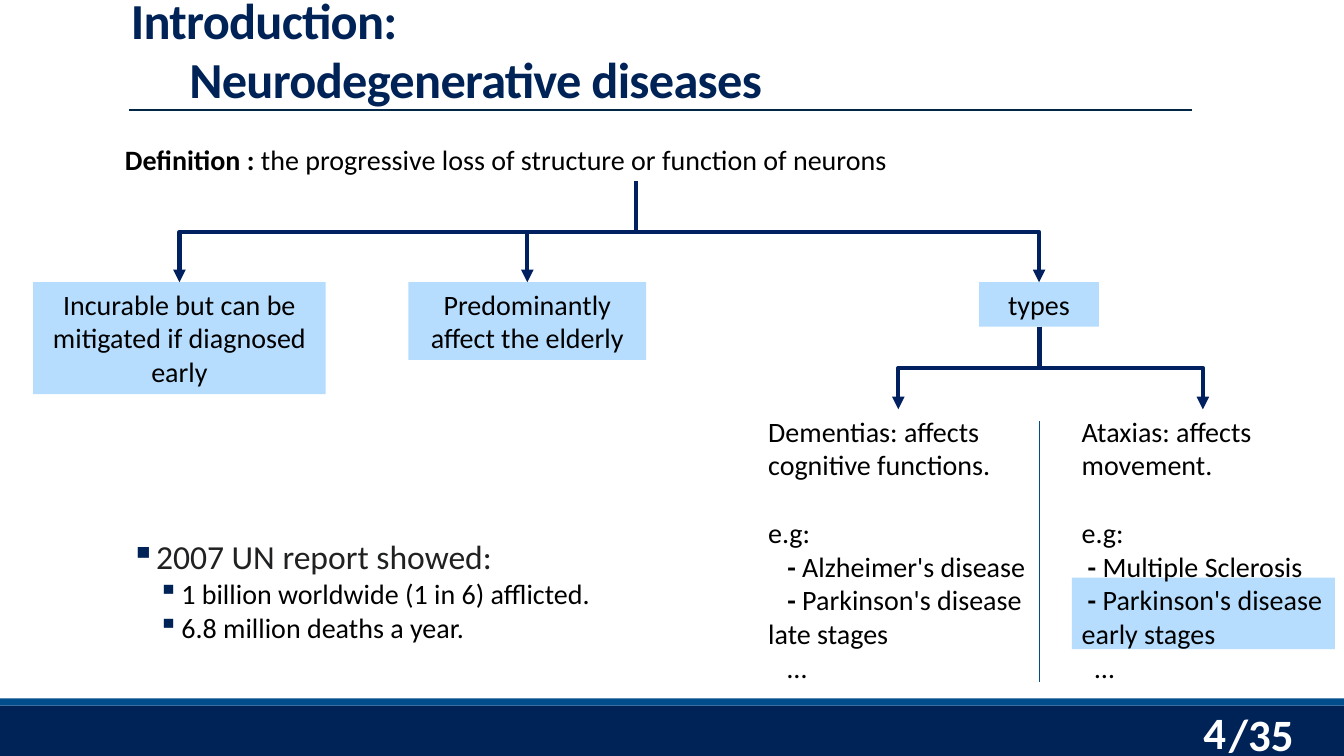
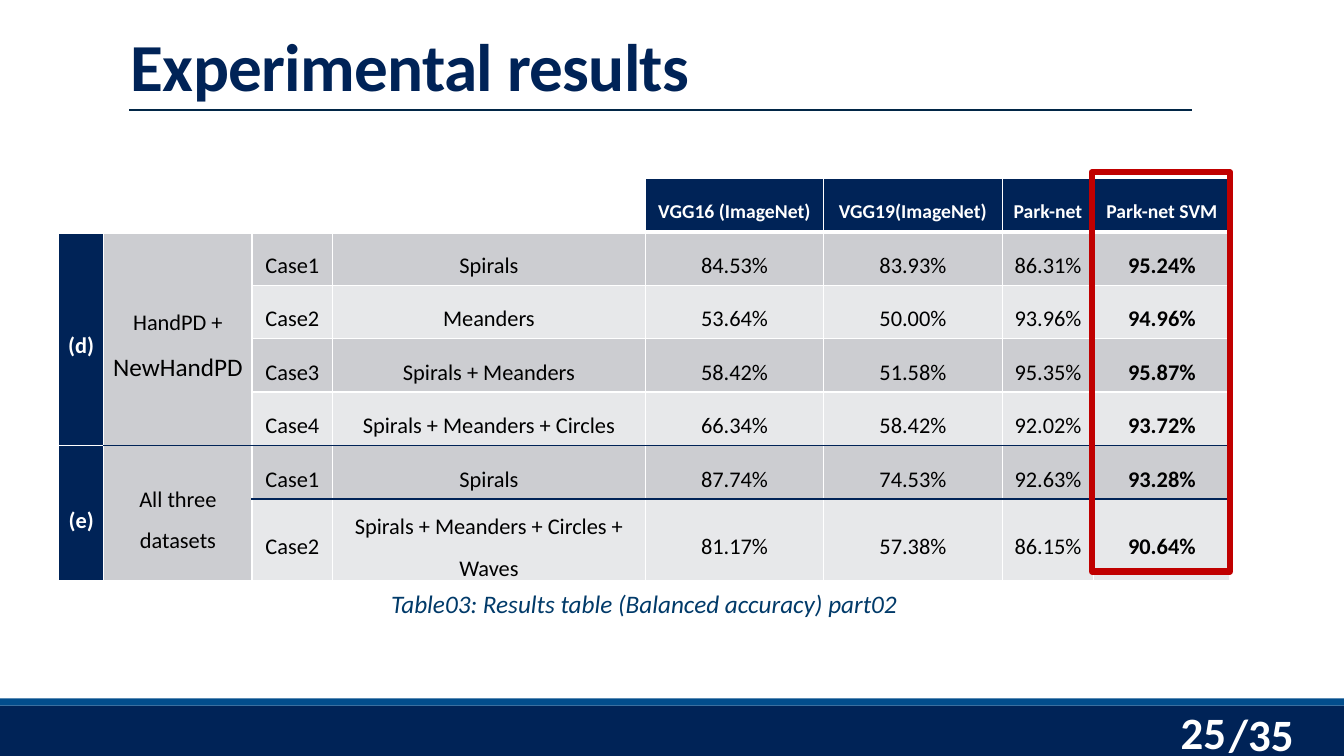
from dataclasses import dataclass

from lxml import etree
from pptx import Presentation
from pptx.dml.color import RGBColor
from pptx.enum.shapes import MSO_CONNECTOR, MSO_SHAPE
from pptx.enum.text import MSO_ANCHOR, PP_ALIGN
from pptx.oxml.ns import qn
from pptx.util import Inches, Pt

STRAIGHT, ELBOW = MSO_CONNECTOR.STRAIGHT, MSO_CONNECTOR.ELBOW
RECT = MSO_SHAPE.RECTANGLE
LEFT, CENTER, RIGHT = PP_ALIGN.LEFT, PP_ALIGN.CENTER, PP_ALIGN.RIGHT
TOP, MIDDLE, BOTTOM = MSO_ANCHOR.TOP, MSO_ANCHOR.MIDDLE, MSO_ANCHOR.BOTTOM


@dataclass(frozen=True)
class Theme:
    """Colours, font and type sizes of the deck."""
    font: str = "Calibri"
    navy: str = "002357"
    blue: str = "024D8C"
    rule: str = "012646"
    arrow: str = "002060"
    pale: str = "B6DDFE"
    black: str = "000000"
    white: str = "FFFFFF"
    charcoal: str = "202122"
    caption: str = "013A69"
    red: str = "C00000"
    grey: str = "CCCDD1"
    light: str = "E7E8EA"
    title_sz: int = 48
    subtitle_sz: int = 36
    page_sz: int = 32
    lead_sz: int = 24
    body_sz: int = 20
    note_sz: int = 18
    cell_sz: int = 16
    head_sz: int = 14


T = Theme()
WIDTH, HEIGHT = 13.33, 7.5
PAGES = 35
TITLE = dict(size=T.subtitle_sz, color=T.navy, bold=True, spacing=-50)
PAGE = dict(size=T.page_sz, color=T.white, bold=True)

COLS = [0.45, 1.47, 0.8, 3.1, 1.77, 1.77, 0.91, 1.35]
ROW_H = 0.53
RESULTS = [
    ["", "", "", "", "VGG16 (ImageNet)", "VGG19(ImageNet)", "Park-net", "Park-net SVM"],
    ["(d)", [("HandPD + ", {}), ("NewHandPD", dict(size=T.note_sz))],
     "Case1", "Spirals", "84.53%", "83.93%", "86.31%", "95.24%"],
    ["", "", "Case2", "Meanders", "53.64%", "50.00%", "93.96%", "94.96%"],
    ["", "", "Case3", "Spirals + Meanders", "58.42%", "51.58%", "95.35%", "95.87%"],
    ["", "", "Case4", "Spirals + Meanders + Circles", "66.34%", "58.42%", "92.02%", "93.72%"],
    ["(e)", "All three datasets", "Case1", "Spirals", "87.74%", "74.53%", "92.63%", "93.28%"],
    ["", "", "Case2", "Spirals + Meanders + Circles + Waves",
     "81.17%", "57.38%", "86.15%", "90.64%"],
]
GROUPS = [(1, 4), (5, 6)]


def rgb(color):
    """Turn a hex string into a colour."""
    return RGBColor.from_string(color)


def inches(*values):
    """Turn numbers into lengths."""
    return [Inches(v) for v in values]


def add_run(p, text, size=T.body_sz, color=T.black, bold=False, italic=False, spacing=None):
    """Add one formatted run to a paragraph."""
    r = p.add_run()
    r.text = text
    f = r.font
    f.name, f.size, f.bold, f.italic = T.font, Pt(size), bold, italic
    f.color.rgb = rgb(color)
    if spacing:
        r._r.get_or_add_rPr().set("spc", str(spacing))


def add_bullet(p):
    """Give a paragraph a navy square bullet."""
    pPr = p._p.get_or_add_pPr()
    clr = etree.SubElement(pPr, qn("a:buClr"))
    etree.SubElement(clr, qn("a:srgbClr"), val=T.navy)
    etree.SubElement(pPr, qn("a:buChar"), char="▪")


def write(tf, paras, align=LEFT, anchor=TOP, line=None, before=None, after=None,
          indent=0, hanging=0, bullet=False, **font):
    """Fill a text frame; a paragraph is text, a list of runs, or either with its own format."""
    tf.word_wrap = True
    tf.vertical_anchor = anchor
    base = dict(align=align, line=line, before=before, after=after,
                indent=indent, hanging=hanging, bullet=bullet)
    for i, para in enumerate([paras] if isinstance(paras, str) else paras):
        runs, own = para if isinstance(para, tuple) else (para, {})
        fmt = {**base, **font, **own}
        p = tf.paragraphs[0] if i == 0 else tf.add_paragraph()
        p.alignment = fmt.pop("align")
        p.line_spacing = fmt.pop("line")
        before, after = fmt.pop("before"), fmt.pop("after")
        if before:
            p.space_before = Pt(before)
        if after:
            p.space_after = Pt(after)
        left, hang = fmt.pop("indent"), fmt.pop("hanging")
        pPr = p._p.get_or_add_pPr()
        pPr.set("marL", str(Inches(left)))
        pPr.set("indent", str(-Inches(hang)))
        if fmt.pop("bullet"):
            add_bullet(p)
        for text, extra in [(runs, {})] if isinstance(runs, str) else runs:
            add_run(p, text, **{**fmt, **extra})


def add_text(s, box, paras, **fmt):
    """Add a text box."""
    write(s.shapes.add_textbox(*inches(*box)).text_frame, paras, **fmt)


def add_box(s, box, fill=None, line=None, weight=1, text=None):
    """Add a rectangle, with centred text if given."""
    sp = s.shapes.add_shape(RECT, *inches(*box))
    sp.shadow.inherit = False
    if fill:
        sp.fill.solid()
        sp.fill.fore_color.rgb = rgb(fill)
    else:
        sp.fill.background()
    if line:
        sp.line.color.rgb = rgb(line)
        sp.line.width = Pt(weight)
    else:
        sp.line.fill.background()
    if text:
        write(sp.text_frame, text, align=CENTER)


def add_line(s, x1, y1, x2, y2, color, weight=1, kind=STRAIGHT):
    """Add a connector without shadow."""
    cx = s.shapes.add_connector(kind, *inches(x1, y1, x2, y2))
    cx.line.color.rgb = rgb(color)
    cx.line.width = Pt(weight)
    etree.SubElement(cx._element.spPr, qn("a:effectLst"))
    return cx


def add_branch(s, x1, y1, x2, y2):
    """Add an elbow arrow that leaves and arrives vertically."""
    mid_x, mid_y = (x1 + x2) / 2, (y1 + y2) / 2
    half_w, half_h = (y2 - y1) / 2, abs(x2 - x1) / 2
    turn = 1 if x2 < x1 else -1
    cx = add_line(s, mid_x - turn * half_w, mid_y - half_h,
                  mid_x + turn * half_w, mid_y + half_h, T.arrow, 3, ELBOW)
    cx._element.spPr.find(qn("a:xfrm")).set("rot", str(turn * 90 % 360 * 60000))
    etree.SubElement(cx.line._get_or_add_ln(), qn("a:tailEnd"), type="triangle")


def add_frame(prs, title, page, size=T.title_sz, title_top=0.12, title_h=0.97):
    """Add a slide with its title, rule, bands and page number."""
    s = prs.slides.add_slide(prs.slide_layouts[6])
    add_box(s, (0, 7, WIDTH, 0.5), fill=T.navy)
    add_box(s, (0, 6.93, WIDTH, 0.07), fill=T.blue)
    add_text(s, (12.09, 6.96, 1.1, 0.64), f"/{PAGES}", **PAGE)
    add_text(s, (10.83, 7.06, 1.43, 0.4), str(page), align=RIGHT, anchor=MIDDLE, **PAGE)
    add_line(s, 1.28, 1.09, 11.82, 1.09, T.rule)
    add_text(s, (1.2, title_top, 11, title_h), title, anchor=BOTTOM, line=0.85,
             **{**TITLE, "size": size})
    return s


def add_type(s, left, width, heading, diseases, stage, indent, dots_indent):
    """Add one column describing a type of disease."""
    items = [([("-", dict(bold=True)), (f" {d}", {})], dict(indent=indent)) for d in diseases]
    add_text(s, (left, 4.06, width, 2.79),
             [heading, ("e.g:", dict(before=24.4)), *items, stage,
              ("…", dict(indent=dots_indent))])


def add_border(cell, index, side, color, weight):
    """Set one border of a table cell."""
    ln = etree.Element(qn(f"a:{side}"), w=str(Pt(weight)))
    fill = etree.SubElement(ln, qn("a:solidFill"))
    etree.SubElement(fill, qn("a:srgbClr"), val=color)
    cell._tc.get_or_add_tcPr().insert(index, ln)


def edge_below(row, col):
    """Return colour and weight of the border under a cell."""
    if row == 0:
        return T.white, 3
    if (row == 4 and col >= 1) or (row == 5 and col >= 2):
        return T.navy, 1.5
    return T.white, 1


def cell_style(row, col):
    """Return fill and font format of a results cell."""
    if row == 0:
        return (T.navy if col > 3 else None), dict(size=T.head_sz, color=T.white, bold=True)
    if col == 0:
        return T.navy, dict(size=T.cell_sz, color=T.white, bold=True)
    fill = T.grey if col == 1 or row % 2 else T.light
    return fill, dict(size=T.cell_sz, bold=col == len(COLS) - 1)


def add_results(s, left, top):
    """Add the results table."""
    frame = s.shapes.add_table(len(RESULTS), len(COLS),
                               *inches(left, top, sum(COLS), ROW_H * len(RESULTS)))
    tbl = frame.table
    tbl.first_row = tbl.horz_banding = False
    for col, width in zip(tbl.columns, COLS):
        col.width = Inches(width)
    for row in tbl.rows:
        row.height = Inches(ROW_H)
    for first, last in GROUPS:
        for c in (0, 1):
            tbl.cell(first, c).merge(tbl.cell(last, c))
    for r, values in enumerate(RESULTS):
        for c, value in enumerate(values):
            cell = tbl.cell(r, c)
            fill, font = cell_style(r, c)
            if fill:
                cell.fill.solid()
                cell.fill.fore_color.rgb = rgb(fill)
            else:
                cell.fill.background()
            cell.margin_left = cell.margin_right = cell.margin_top = Inches(0.01)
            cell.margin_bottom = 0
            cell.vertical_anchor = MIDDLE
            if value:
                write(cell.text_frame, [value], align=CENTER, anchor=None,
                      line=1.5, after=10, **font)
                cell.vertical_anchor = MIDDLE
            last = r + cell.span_height - 1 if cell.is_merge_origin else r
            above = edge_below(r - 1, c) if r else (T.white, 1)
            edges = [("lnL", (T.white, 1)), ("lnR", (T.white, 1)),
                     ("lnT", above), ("lnB", edge_below(last, c))]
            for i, (side, line) in enumerate(edges):
                add_border(cell, i, side, *line)


def introduction(prs):
    """Build the slide on neurodegenerative diseases."""
    s = add_frame(prs, "Introduction:", 4, T.subtitle_sz, title_top=0, title_h=0.54)
    add_text(s, (1.78, 0.43, 6.44, 0.71), "Neurodegenerative diseases", **TITLE)
    add_text(s, (1.14, 1.36, 10.35, 0.44),
             [[("Definition :", dict(bold=True)),
               (" the progressive loss of structure or function of neurons", {})]])
    facts = [(0.33, 2.9, 1.11, "Incurable but can be mitigated if diagnosed early"),
             (4.05, 2.36, 0.77, "Predominantly affect the elderly"),
             (9.71, 1.19, 0.44, "types")]
    for left, width, height, text in facts:
        add_box(s, (left, 2.8, width, height), fill=T.pale, text=text)
        add_branch(s, 6.31, 1.8, left + width / 2, 2.8)
    add_box(s, (10.63, 5.73, 2.61, 0.71), fill=T.pale)
    add_type(s, 7.52, 2.79, "Dementias: affects cognitive functions.",
             ["Alzheimer's disease", "Parkinson's disease"], "late stages", 0.19, 0.19)
    add_type(s, 10.63, 2.61, "Ataxias: affects movement.",
             ["Multiple Sclerosis", "Parkinson's disease"], "early stages", 0.06, 0.13)
    for x in (8.91, 11.93):
        add_branch(s, 10.31, 3.24, x, 4.06)
    add_line(s, 10.31, 4.18, 10.31, 6.77, T.blue)
    sub = dict(indent=0.5, hanging=0.23)
    add_text(s, (1.2, 5.27, 4.98, 1.18),
             [("2007 UN report showed:", dict(size=T.lead_sz, color=T.charcoal)),
              ("1 billion worldwide (1 in 6) afflicted.", sub),
              ("6.8 million deaths a year.", sub)], bullet=True)


def results(prs):
    """Build the slide with the results table."""
    s = add_frame(prs, "Experimental results", 25)
    add_results(s, 0.58, 1.77)
    add_text(s, (0.58, 5.79, 11.62, 0.4), "Table03: Results table (Balanced accuracy) part02",
             align=CENTER, size=T.note_sz, color=T.caption, italic=True)
    add_box(s, (10.83, 1.71, 1.37, 3.96), line=T.red, weight=4.5)


def main():
    """Build and save the deck."""
    prs = Presentation()
    prs.slide_width, prs.slide_height = inches(WIDTH, HEIGHT)
    introduction(prs)
    results(prs)
    prs.save("out.pptx")


if __name__ == "__main__":
    main()
